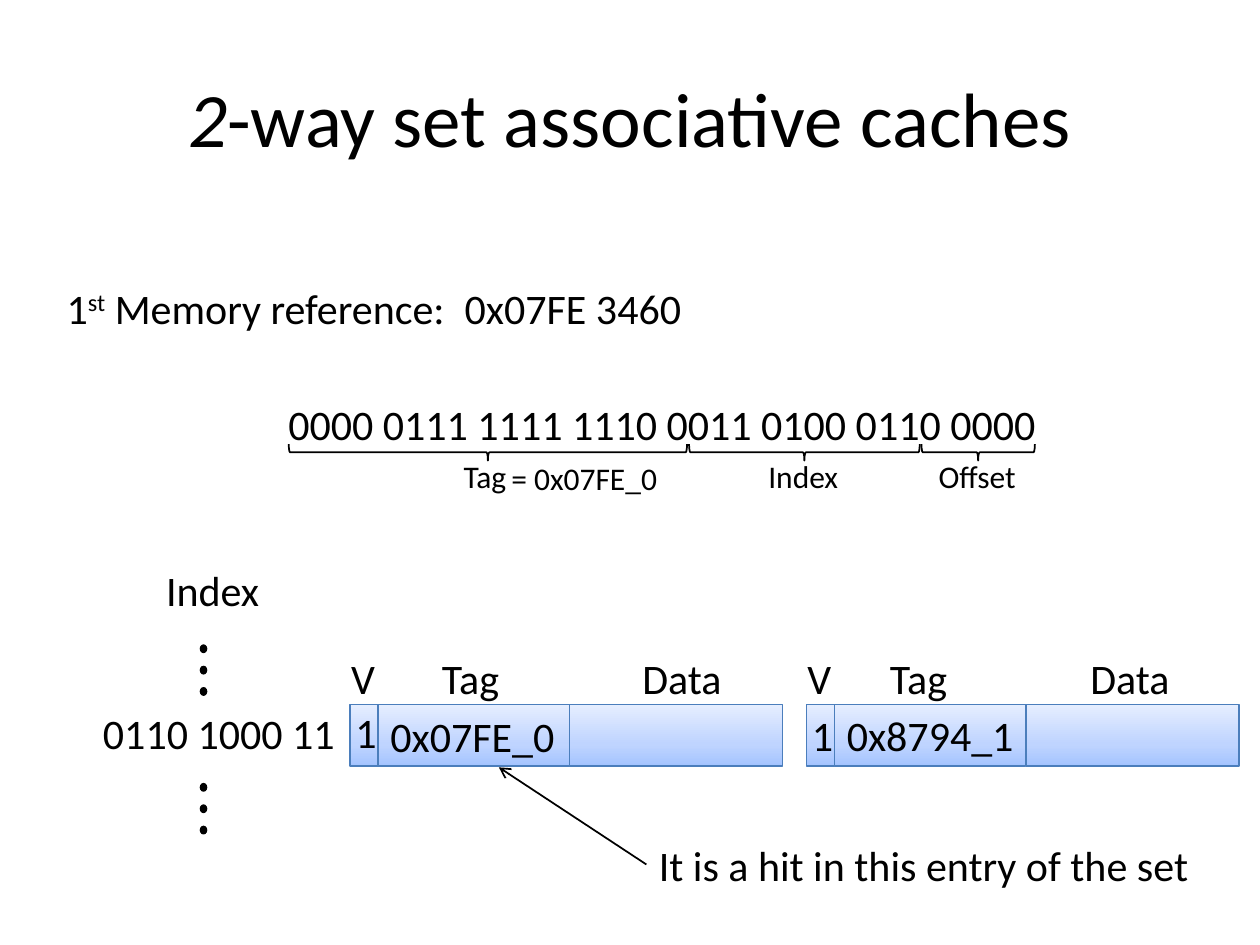
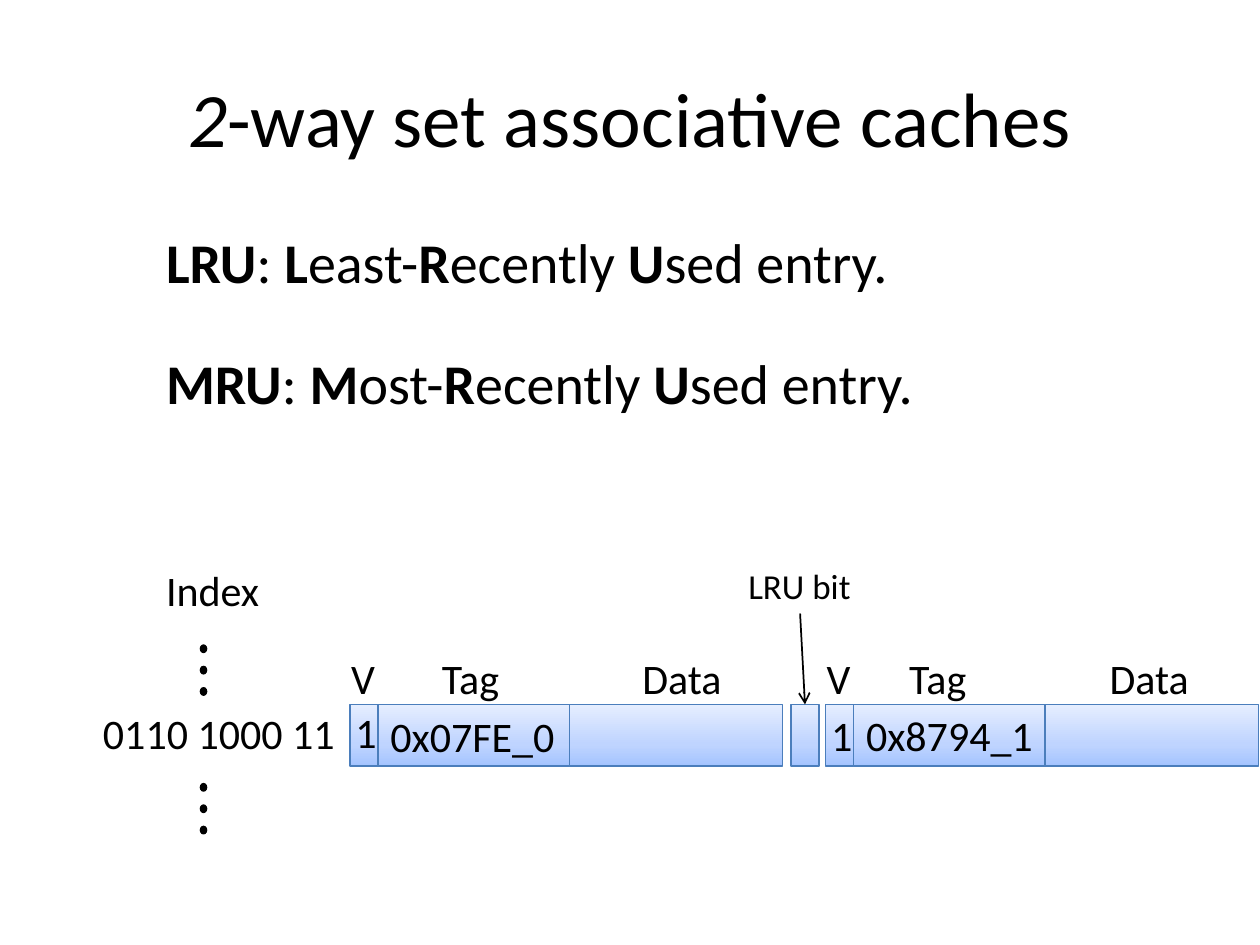
from copy import deepcopy
from dataclasses import dataclass

from lxml import etree
from pptx import Presentation
from pptx.dml.color import RGBColor
from pptx.enum.shapes import MSO_CONNECTOR, MSO_SHAPE
from pptx.enum.text import MSO_ANCHOR, MSO_AUTO_SIZE, PP_ALIGN
from pptx.oxml.ns import qn
from pptx.slide import Slide
from pptx.util import Pt

RECT = MSO_SHAPE.RECTANGLE
OVAL = MSO_SHAPE.OVAL
BRACE = MSO_SHAPE.LEFT_BRACE
STRAIGHT = MSO_CONNECTOR.STRAIGHT
CENTER = PP_ALIGN.CENTER
MIDDLE = MSO_ANCHOR.MIDDLE
GROW = MSO_AUTO_SIZE.SHAPE_TO_FIT_TEXT

BLACK = RGBColor(0x00, 0x00, 0x00)
EDGE = RGBColor(0x4B, 0x7E, 0xBC)
STOPS = [
    (0, RGBColor(0xA4, 0xC4, 0xFF)),
    (0.35, RGBColor(0xBF, 0xD4, 0xFF)),
    (1, RGBColor(0xE6, 0xEE, 0xFF)),
]
FONT = "Calibri"
BOLD, SLANT, SUPER = "bold", "slant", "super"

ROW_TOP, ROW_HIGH = 402.5, 35.3
VALID_WIDE, TAG_WIDE, DATA_WIDE = 16, 109.4, 121.8
HEAD_TOP = 369.4
BRACE_MID, BRACE_DEEP = 258.5, 9.4
DOT_LEFT, DOT_WIDE, DOT_HIGH, DOT_STEP = 114.5, 3.6, 4.3, 12.2


@dataclass
class Label:
    """One line of text; parts between stars take the mark."""
    text: str
    left: float
    top: float
    wide: float
    size: float = 24
    mark: str = BOLD


@dataclass
class Field:
    """A span of address bits and its caption."""
    name: Label
    left: float
    right: float


@dataclass
class Way:
    """One entry of the cache set."""
    tag: str
    left: float
    bit_top: float
    tag_top: float
    shift: float = 0


TITLE = Label("*2*-way set associative caches", 36, 21.6, 648, 44, SLANT)
FIRST = Way("0x07FE_0", 200, 400.3, 402.5)
SECOND = Way("0x8794_1", 460.8, 401.8, 401.8, -4.8)
MOVED = Way("0x8794_1", 471.8, 401.8, 401.8, -4.8)

INDEX = [
    Label("Index", 87.8, 319, 68.4),
    Label("0110 1000 11", 51.8, 401, 148.3),
]
ADDRESS = [
    Label("1*st* Memory reference:", 31, 157.7, 242, mark=SUPER),
    Label("0x07FE 3460", 258.5, 157.7, 139.7),
    Label("0000 0111 1111 1110 0011 0100 0110 0000", 157.7, 224, 445.7),
    Label("= 0x07FE_0", 285.1, 258.5, 98.6, 18),
    Label("It is a hit in this entry of the set", 369.4, 476, 320.4),
]
FIELDS = [
    Field(Label("Tag", 257.8, 257.8, 38.9, 18), 165, 392.6),
    Field(Label("Index", 432, 257.8, 54.7, 18), 393.8, 525.6),
    Field(Label("Offset", 529.2, 257.8, 59, 18), 526.6, 591.4),
]
TERMS = [
    Label("*LRU*: *L*east-*R*ecently *U*sed entry.", 87.8, 126.7, 428.4, 32),
    Label("*MRU*: *M*ost-*R*ecently *U*sed entry.", 87.8, 195.8, 445.7, 32),
    Label("LRU bit", 420.5, 319, 73.4, 20),
]


def write(slide: Slide, label: Label):
    """Add a label as a text box that hugs its line, and return it."""
    high = label.size * 1.2 + 7.2
    box = slide.shapes.add_textbox(
        Pt(label.left), Pt(label.top), Pt(label.wide), Pt(high))
    frame = box.text_frame
    frame.word_wrap = False
    frame.auto_size = GROW
    line = frame.paragraphs[0]
    line.font.name = FONT
    line.font.size = Pt(label.size)
    line.font.color.rgb = BLACK
    for place, part in enumerate(label.text.split("*")):
        if not part:
            continue
        run = line.add_run()
        run.text = part
        if place % 2 == 0:
            continue
        if label.mark == BOLD:
            run.font.bold = True
        elif label.mark == SLANT:
            run.font.italic = True
        else:
            run.font._element.set("baseline", "30000")
    return box


def head(slide: Slide) -> None:
    """Add the centred slide title."""
    box = write(slide, TITLE)
    frame = box.text_frame
    frame.auto_size = MSO_AUTO_SIZE.NONE
    frame.word_wrap = True
    frame.vertical_anchor = MIDDLE
    frame.paragraphs[0].alignment = CENTER
    box.height = Pt(90)


def cell(slide: Slide, left: float, wide: float) -> None:
    """Add one shaded cell of the cache row."""
    box = slide.shapes.add_shape(
        RECT, Pt(left), Pt(ROW_TOP), Pt(wide), Pt(ROW_HIGH))
    box.shadow.inherit = False
    box.line.color.rgb = EDGE
    box.line.width = Pt(0.75)
    box.fill.gradient()
    box.fill.gradient_angle = 90
    stops = box._element.spPr.find(".//" + qn("a:gsLst"))
    stops.insert(1, deepcopy(stops[0]))
    for stop, (place, shade) in zip(box.fill.gradient_stops, STOPS):
        stop.position = place
        stop.color.rgb = shade


def entry(slide: Slide, way: Way) -> None:
    """Add the cells, headings and values of one way."""
    left = way.left
    for wide in (DATA_WIDE, VALID_WIDE, TAG_WIDE)[1:] + (DATA_WIDE,):
        cell(slide, left, wide)
        left += wide
    left = way.left
    for label in (
        Label("V", left - 6.5, HEAD_TOP, 29),
        Label("Tag", left + 45.5 + way.shift, HEAD_TOP, 47.5),
        Label("Data", left + 160 + way.shift, HEAD_TOP, 60.5),
        Label("1", left - 4, way.bit_top, 26.6),
        Label(way.tag, left + VALID_WIDE, way.tag_top, 110),
    ):
        write(slide, label)


def dots(slide: Slide, top: float) -> None:
    """Add three stacked dots."""
    for step in range(3):
        dot = slide.shapes.add_shape(
            OVAL, Pt(DOT_LEFT), Pt(top + step * DOT_STEP),
            Pt(DOT_WIDE), Pt(DOT_HIGH))
        dot.shadow.inherit = False
        dot.fill.solid()
        dot.fill.fore_color.rgb = BLACK
        dot.line.color.rgb = BLACK
        dot.line.width = Pt(0.75)


def brace(slide: Slide, field: Field) -> None:
    """Add a brace opening upward under a field, with its caption."""
    span = field.right - field.left
    mid = (field.left + field.right) / 2
    mark = slide.shapes.add_shape(
        BRACE, Pt(mid - BRACE_DEEP / 2), Pt(BRACE_MID - span / 2),
        Pt(BRACE_DEEP), Pt(span))
    mark.rotation = 270
    mark.shadow.inherit = False
    mark.fill.background()
    mark.line.color.rgb = BLACK
    mark.line.width = Pt(1)
    write(slide, field.name)


def arrow(slide: Slide, x1: float, y1: float, x2: float, y2: float) -> None:
    """Add a thin line with an open arrowhead at its end."""
    line = slide.shapes.add_connector(
        STRAIGHT, Pt(x1), Pt(y1), Pt(x2), Pt(y2))
    line.line.color.rgb = BLACK
    line.line.width = Pt(1)
    stroke = line.line._get_or_add_ln()
    etree.SubElement(stroke, qn("a:tailEnd"), type="arrow")
    etree.SubElement(line._element.spPr, qn("a:effectLst"))


def start(deck, ways: list[Way], labels: list[Label]) -> Slide:
    """Add a slide with the title, the cache set and its labels."""
    slide = deck.slides.add_slide(deck.slide_layouts[6])
    head(slide)
    for way in ways:
        entry(slide, way)
    for top in (368.6, 447.8):
        dots(slide, top)
    for label in INDEX + labels:
        write(slide, label)
    return slide


def main() -> None:
    """Build and save the deck."""
    deck = Presentation()
    deck.slide_width, deck.slide_height = Pt(720), Pt(540)

    lookup = start(deck, [FIRST, SECOND], ADDRESS)
    for field in FIELDS:
        brace(lookup, field)
    arrow(lookup, 369.4, 494, 285.1, 438.5)

    recent = start(deck, [FIRST, MOVED], TERMS)
    cell(recent, 452, VALID_WIDE)
    arrow(recent, 457.2, 350.6, 460, ROW_TOP)

    deck.save("out.pptx")


main()
